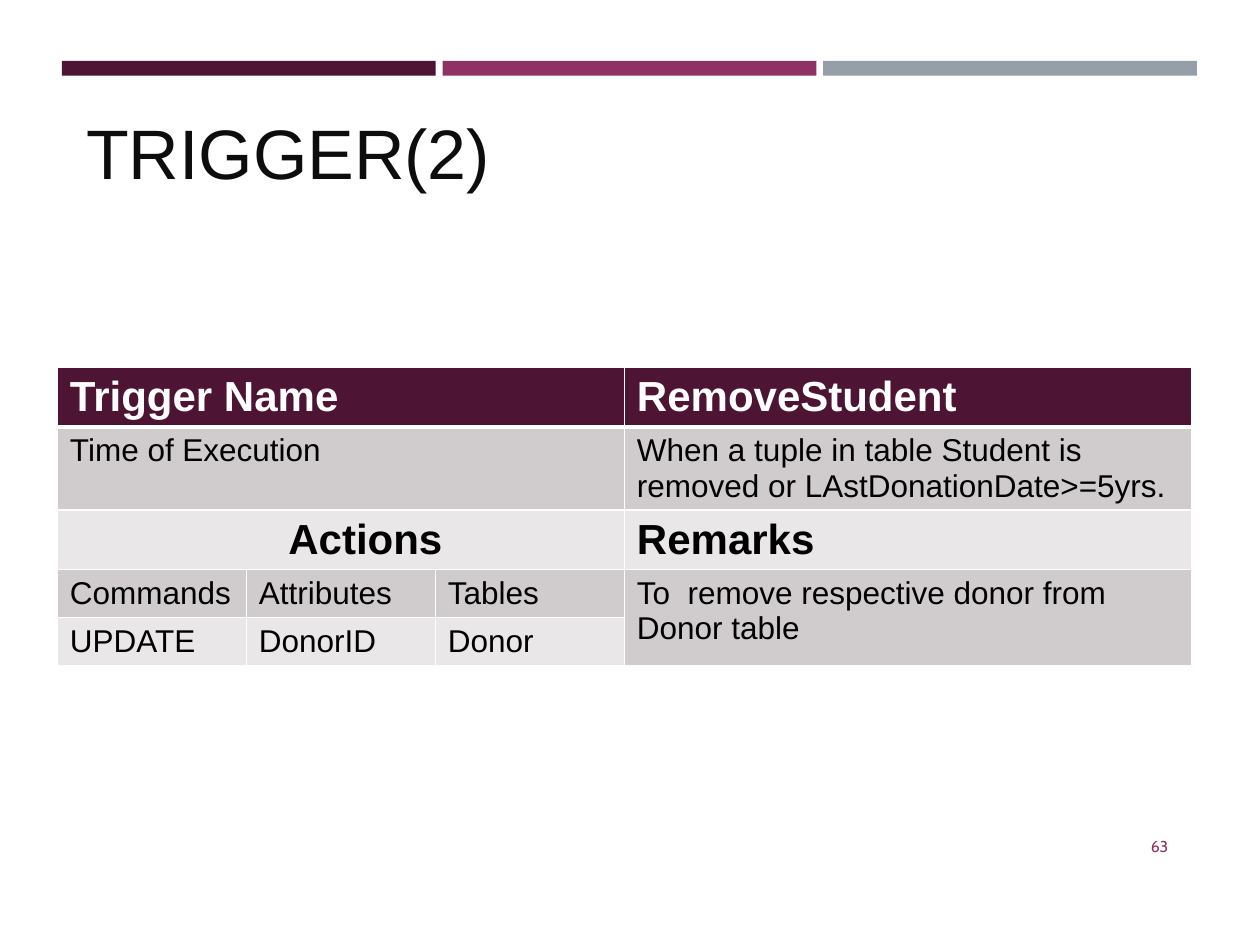
import dataclasses

import pptx
import pptx.dml.color
import pptx.enum.shapes
import pptx.enum.text
import pptx.oxml
import pptx.oxml.ns
import pptx.util

Pt = pptx.util.Pt
Align = pptx.enum.text.PP_ALIGN
PLUM, BERRY, GREY = "4D1434", "903163", "969FA7"
DARK_BAND, LIGHT_BAND = "D0CCCE", "E9E7E8"
WHITE, BLACK = "FFFFFF", "000000"


@dataclasses.dataclass
class Entry:
    """One table cell: its place, wording, look and span."""
    row: int
    column: int
    text: str
    band: str
    heading: bool = False
    color: str = BLACK
    rows: int = 1
    columns: int = 1
    indent: float = 7.2
    align: Align = Align.LEFT


ENTRIES = [
    Entry(0, 0, "Trigger Name", PLUM, True, WHITE, columns=3),
    Entry(0, 3, "RemoveStudent", PLUM, True, WHITE),
    Entry(1, 0, "Time of Execution", DARK_BAND, columns=3),
    Entry(1, 3, "When a tuple in table Student is removed or "
          "LAstDonationDate>=5yrs.", DARK_BAND),
    Entry(2, 0, "Actions", LIGHT_BAND, True, columns=3, indent=35.2,
          align=Align.CENTER),
    Entry(2, 3, "Remarks", LIGHT_BAND, True),
    Entry(3, 0, "Commands", DARK_BAND),
    Entry(3, 1, "Attributes", DARK_BAND),
    Entry(3, 2, "Tables", DARK_BAND),
    Entry(3, 3, "To  remove respective donor from Donor table", DARK_BAND, rows=2),
    Entry(4, 0, "UPDATE", LIGHT_BAND),
    Entry(4, 1, "DonorID", LIGHT_BAND),
    Entry(4, 2, "Donor", LIGHT_BAND),
]
COLUMN_WIDTHS = [108, 108, 108, 324]
ROW_HEIGHTS = [33.8, 47.2, 33.8, 27.4, 27.4]


def rgb(color: str) -> pptx.dml.color.RGBColor:
    """Turn a hex string into a colour."""
    return pptx.dml.color.RGBColor.from_string(color)


def add_span(para, text: str, size: float, color: str,
             font: str = "Arial", bold: bool = False) -> None:
    """Add one formatted run to a paragraph."""
    span = para.add_run()
    span.text = text
    span.font.name = font
    span.font.size = Pt(size)
    span.font.bold = bold
    span.font.color.rgb = rgb(color)


def add_bar(page, left: float, width: float, color: str) -> None:
    """Draw one bar of the strip at the top."""
    bar = page.shapes.add_shape(pptx.enum.shapes.MSO_SHAPE.RECTANGLE,
                                Pt(left), Pt(34.8), Pt(width), Pt(8.4))
    bar.shadow.inherit = False
    bar.fill.solid()
    bar.fill.fore_color.rgb = rgb(color)
    bar.line.fill.background()


def set_title(page) -> None:
    """Place and fill the title placeholder."""
    title = page.shapes.title
    title.left, title.top, title.width, title.height = Pt(42), Pt(54), Pt(629), Pt(60)
    frame = title.text_frame
    frame.auto_size = pptx.enum.text.MSO_AUTO_SIZE.NONE
    frame.vertical_anchor = pptx.enum.text.MSO_ANCHOR.BOTTOM
    para = frame.paragraphs[0]
    para.alignment = Align.LEFT
    add_span(para, "TRIGGER(2)", 40, "0D0D0D")


def add_page_number(page) -> None:
    """Add the page number at the lower right."""
    box = page.shapes.add_textbox(Pt(614.2), Pt(469), Pt(60.5), Pt(28.8))
    frame = box.text_frame
    frame.word_wrap = True
    frame.vertical_anchor = pptx.enum.text.MSO_ANCHOR.MIDDLE
    para = frame.paragraphs[0]
    para.alignment = Align.RIGHT
    add_span(para, "63", 9, BERRY, "Cabin")


def set_borders(cell, row: int) -> None:
    """Give a cell white borders, thicker below the header row."""
    widths = {"L": 1, "R": 1, "T": 3 if row == 1 else 1, "B": 3 if row == 0 else 1}
    properties = cell._tc.get_or_add_tcPr()
    for side, width in widths.items():
        properties.append(pptx.oxml.parse_xml(
            f'<a:ln{side} {pptx.oxml.ns.nsdecls("a")} w="{Pt(width)}"><a:solidFill>'
            f'<a:srgbClr val="{WHITE}"/></a:solidFill></a:ln{side}>'))


def fill_entry(table, entry: Entry) -> None:
    """Merge, colour and write one table entry."""
    cell = table.cell(entry.row, entry.column)
    if entry.rows > 1 or entry.columns > 1:
        cell.merge(table.cell(entry.row + entry.rows - 1,
                              entry.column + entry.columns - 1))
    for row in range(entry.row, entry.row + entry.rows):
        for column in range(entry.column, entry.column + entry.columns):
            part = table.cell(row, column)
            set_borders(part, row)
            part.fill.solid()
            part.fill.fore_color.rgb = rgb(entry.band)
    cell.margin_left = Pt(entry.indent)
    para = cell.text_frame.paragraphs[0]
    para.alignment = entry.align
    add_span(para, entry.text, 24 if entry.heading else 18, entry.color,
             bold=entry.heading)


def add_trigger_table(page) -> None:
    """Add the table that describes the trigger."""
    table = page.shapes.add_table(
        len(ROW_HEIGHTS), len(COLUMN_WIDTHS), Pt(32.8), Pt(210),
        Pt(sum(COLUMN_WIDTHS)), Pt(sum(ROW_HEIGHTS))).table
    for column, width in zip(table.columns, COLUMN_WIDTHS):
        column.width = Pt(width)
    for row, height in zip(table.rows, ROW_HEIGHTS):
        row.height = Pt(height)
    for entry in ENTRIES:
        fill_entry(table, entry)


deck = pptx.Presentation()
deck.slide_width, deck.slide_height = Pt(720), Pt(540)
page = deck.slides.add_slide(deck.slide_layouts[5])
for index, color in enumerate([PLUM, BERRY, GREY]):
    add_bar(page, 35.4 + 217.5 * index, 213.6, color)
set_title(page)
add_trigger_table(page)
add_page_number(page)
deck.save("out.pptx")
